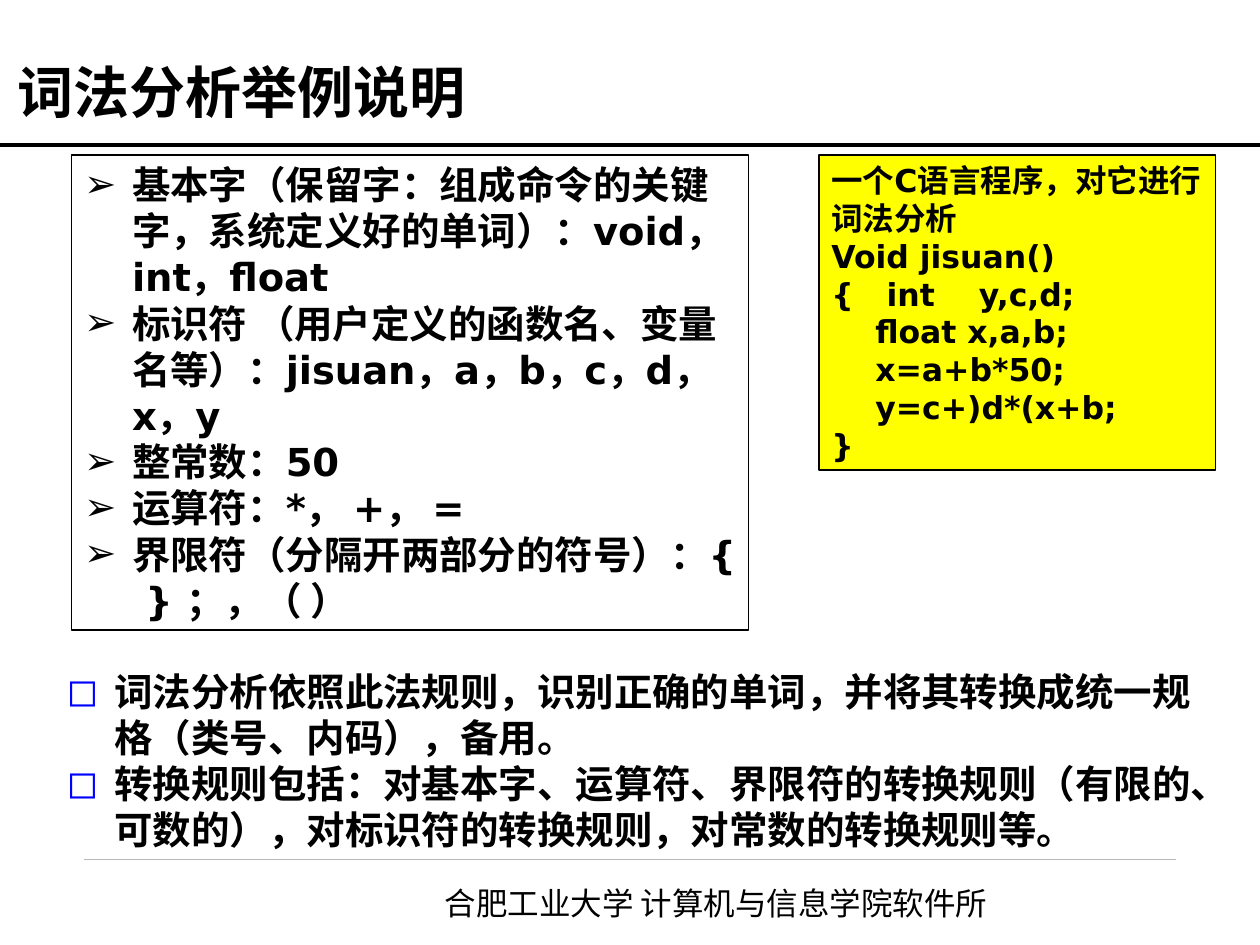
from lxml.etree import SubElement
from pptx import Presentation
from pptx.dml.color import RGBColor
from pptx.enum.shapes import MSO_CONNECTOR as Connector, MSO_SHAPE as Shape
from pptx.enum.text import MSO_ANCHOR as Anchor, MSO_AUTO_SIZE as AutoSize, PP_ALIGN as Align
from pptx.oxml.ns import qn
from pptx.util import Inches, Pt

COLORS = {"ink": "000000", "bullet": "0000FF", "code": "FFFF00", "rule": "B8B8B8"}
LATIN, CHINESE = "DejaVu Sans", "Noto Sans CJK SC"

WORD_CLASSES = [
    "基本字（保留字：组成命令的关键字，系统定义好的单词）：void，int，float",
    "标识符 （用户定义的函数名、变量名等）：jisuan，a，b，c，d，x，y",
    "整常数：50",
    "运算符：*， +， =",
    "界限符（分隔开两部分的符号）：{  } ；，（ ）",
]
PROGRAM = [
    "一个C语言程序，对它进行词法分析",
    "Void jisuan()",
    "{   int    y,c,d;",
    "    float x,a,b;",
    "    x=a+b*50;",
    "    y=c+)d*(x+b;",
    "}",
]
RULES = [
    "词法分析依照此法规则，识别正确的单词，并将其转换成统一规格（类号、内码），备用。",
    "转换规则包括：对基本字、运算符、界限符的转换规则（有限的、可数的），"
    "对标识符的转换规则，对常数的转换规则等。",
]


def color(name):
    return RGBColor.from_string(COLORS[name])


class SlideBuilder:
    def __init__(self, deck):
        self.width, self.height = deck.slide_width, deck.slide_height
        self.page = deck.slides.add_slide(deck.slide_layouts[5])

    def place(self, left, top, width, height):
        return (int(self.width * left / 100), int(self.height * top / 100),
                int(self.width * width / 100), int(self.height * height / 100))

    def fill_text(self, box, lines, size, bold=True, latin=LATIN, anchor=Anchor.TOP, bullet=None, bullet_color="ink"):
        frame = box.text_frame
        frame.word_wrap = True
        frame.auto_size = AutoSize.NONE
        frame.vertical_anchor = anchor
        frame.text = "\n".join(lines)
        for para in frame.paragraphs:
            para.alignment = Align.LEFT
            if bullet:
                self.add_bullet(para, bullet, bullet_color)
            for span in para.runs:
                span.font.size = Pt(size)
                span.font.bold = bold
                span.font.name = latin
                span.font.color.rgb = color("ink")
                properties = span.font._element
                properties.set("lang", "zh-CN")
                SubElement(properties, qn("a:ea")).set("typeface", CHINESE)

    def add_bullet(self, para, mark, mark_color):
        properties = para._p.get_or_add_pPr()
        indent = Inches(0.38)
        properties.set("marL", str(indent))
        properties.set("indent", str(-indent))
        tint = SubElement(properties, qn("a:buClr"))
        SubElement(tint, qn("a:srgbClr")).set("val", COLORS[mark_color])
        SubElement(properties, qn("a:buFont")).set("typeface", LATIN)
        SubElement(properties, qn("a:buChar")).set("char", mark)

    def title(self, area, text):
        box = self.page.shapes.title
        box.left, box.top, box.width, box.height = self.place(*area)
        self.fill_text(box, [text], 32, latin=CHINESE, anchor=Anchor.BOTTOM)

    def text(self, area, lines, size, **style):
        self.fill_text(self.page.shapes.add_textbox(*self.place(*area)), lines, size, **style)

    def panel(self, area, lines, size, fill=None, **style):
        box = self.page.shapes.add_shape(Shape.RECTANGLE, *self.place(*area))
        box.shadow.inherit = False
        if fill:
            box.fill.solid()
            box.fill.fore_color.rgb = color(fill)
        else:
            box.fill.background()
        box.line.color.rgb = color("ink")
        box.line.width = Pt(0.75)
        self.fill_text(box, lines, size, **style)

    def rule(self, left, right, top, weight, tint):
        x, y, length, _ = self.place(left, top, right - left, 0)
        line = self.page.shapes.add_connector(Connector.STRAIGHT, x, y, x + length, y)
        line.line.color.rgb = color(tint)
        line.line.width = Pt(weight)
        SubElement(line._element.spPr, qn("a:effectLst"))


def main():
    deck = Presentation()
    deck.slide_width, deck.slide_height = Inches(10), Inches(7.5)
    slide = SlideBuilder(deck)
    slide.rule(6.7, 93.3, 90.93, 0.25, "rule")
    slide.text((34.3, 92.93, 48, 5.33), ["合肥工业大学 计算机与信息学院软件所"], 18, bold=False, latin=CHINESE)
    slide.title((0.4, 2.8, 87.5, 11.07), "词法分析举例说明")
    slide.rule(0, 100, 15.33, 2.25, "ink")
    slide.panel((5.7, 16.4, 53.7, 50.27), WORD_CLASSES, 22, bullet="➢")
    slide.text((4.3, 70, 92.9, 20.93), RULES, 22, bullet="◻", bullet_color="bullet")
    slide.panel((65, 16.4, 31.5, 33.33), PROGRAM, 18, fill="code")
    deck.save("out.pptx")


if __name__ == "__main__":
    main()
